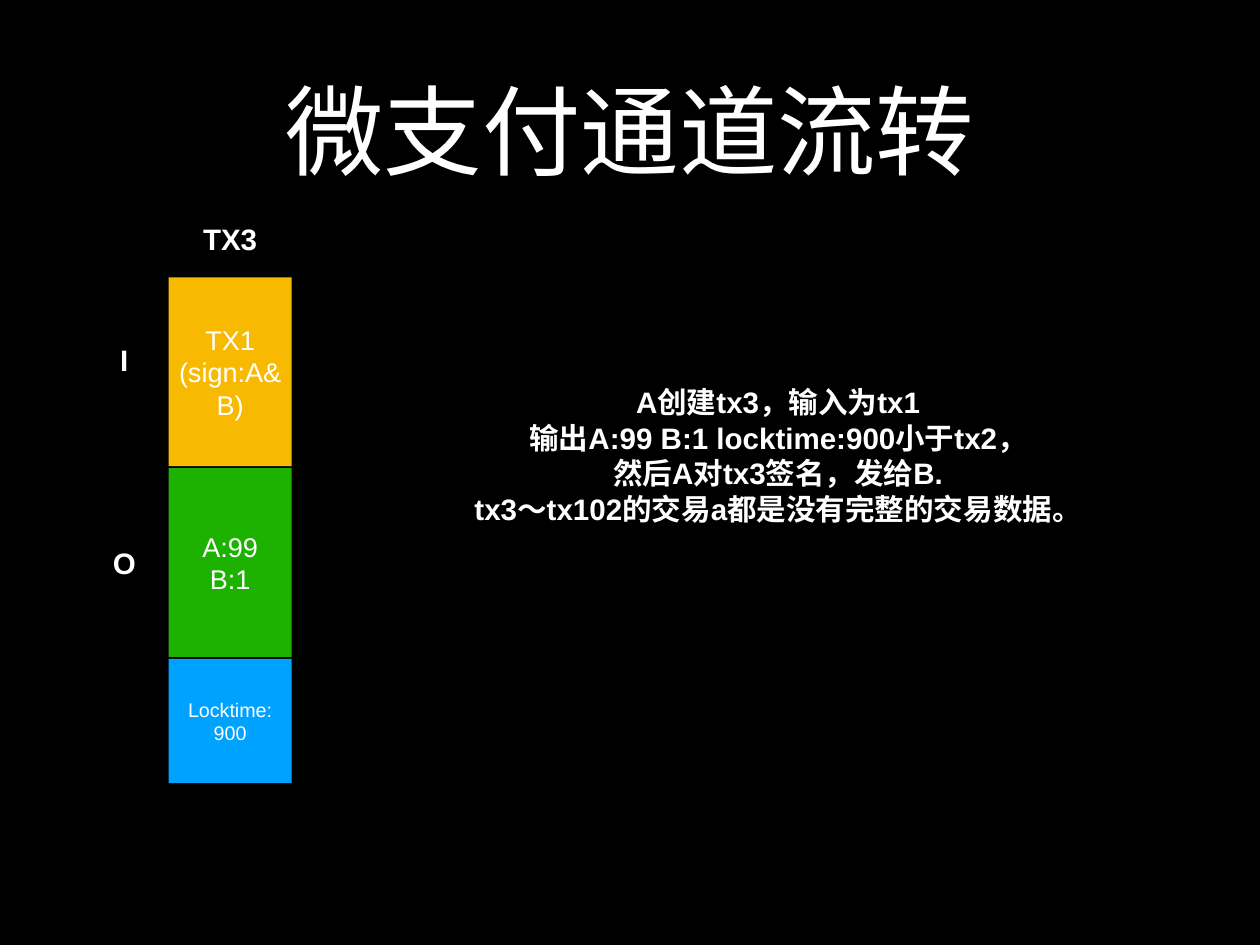
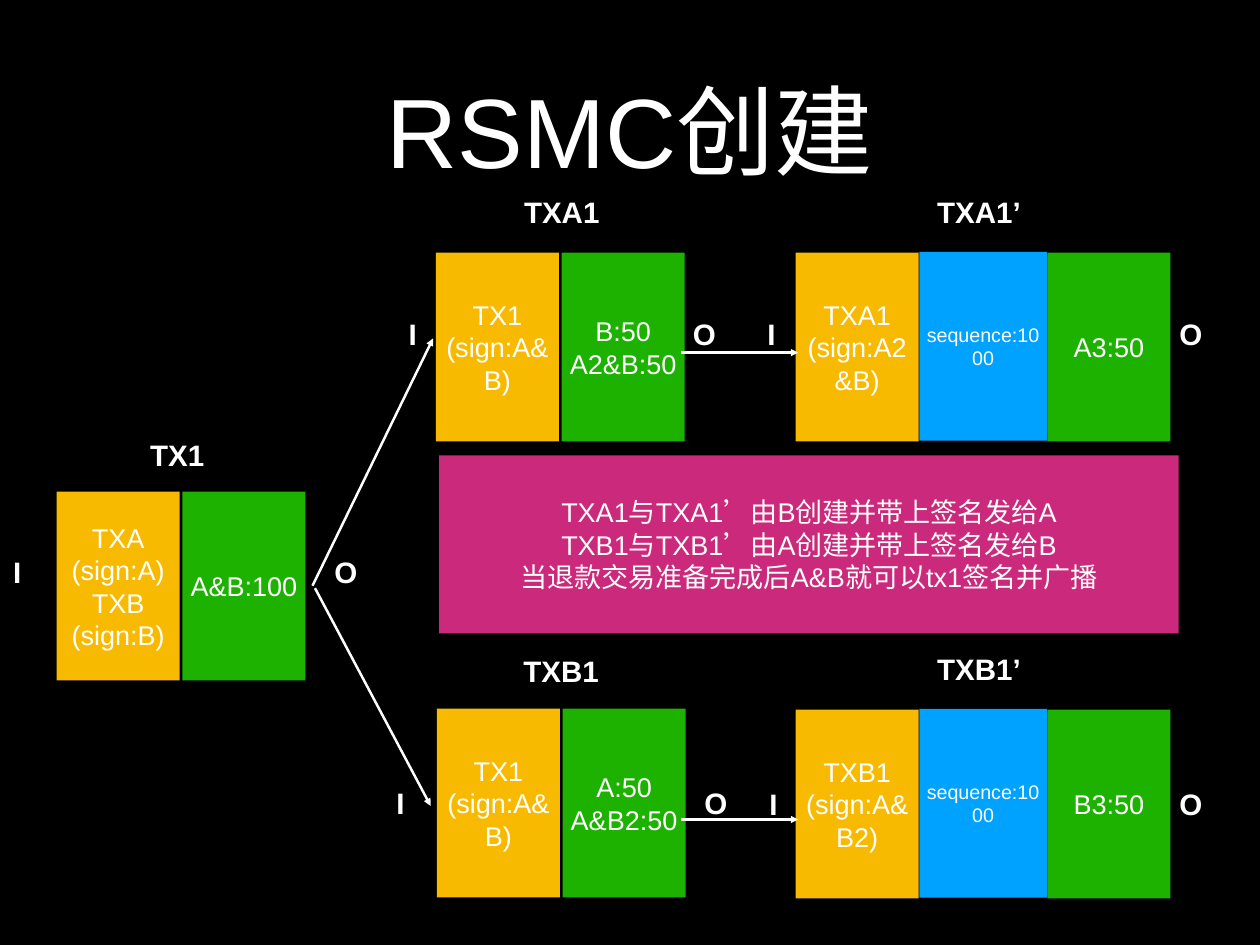
from dataclasses import dataclass

from lxml import etree
from pptx import Presentation
from pptx.dml.color import RGBColor
from pptx.enum import shapes, text
from pptx.oxml import ns
from pptx.util import Pt

COLORS = {
    "back": "000000",
    "text": "FFFFFF",
    "input": "F8BA00",
    "output": "1DB100",
    "lock": "00A2FF",
    "note": "CB297B",
}
FONT = "Arial"
INSET = Pt(4)
FRAME = {
    "margin_left": INSET,
    "margin_right": INSET,
    "margin_top": INSET,
    "margin_bottom": INSET,
    "vertical_anchor": text.MSO_ANCHOR.MIDDLE,
}
CELL_W, CELL_H = 100, 153.4
LABEL_H = 36
LABEL_WIDTHS = {1: 27, 3: 53, 4: 70, 5: 76}  # by number of letters


@dataclass
class Cell:
    role: str
    words: str
    left: float
    top: float
    width: float = CELL_W
    height: float = CELL_H
    size: float = 22


@dataclass
class Label:
    """A bold word, placed by its centre."""
    words: str
    x: float
    y: float


@dataclass
class Transaction:
    """A row of cells with its name above and I and O at its ends."""
    name: str
    left: float
    top: float
    name_at: tuple[float, float]
    in_x: float
    out_x: float
    ends_y: float
    source: str
    result: str
    sequence: str = ""

    def cells(self) -> list[Cell]:
        gap = 104.6 if self.sequence else 2.2
        row = [
            Cell("input", self.source, self.left, self.top),
            Cell("output", self.result, self.left + CELL_W + gap, self.top),
        ]
        if self.sequence:
            row.append(Cell("lock", self.sequence, self.left + CELL_W + 0.5,
                            self.top - 0.7, 103.7, size=16))
        return row

    def labels(self) -> list[Label]:
        return [
            Label(self.name, *self.name_at),
            Label("I", self.in_x, self.ends_y),
            Label("O", self.out_x, self.ends_y),
        ]


def rgb(name: str) -> RGBColor:
    return RGBColor.from_string(COLORS[name])


def write(sp, words: str, size: float, bold: bool = False, wrap: bool = True) -> None:
    """Fill a shape with centred paragraphs, one for each line of words."""
    tf = sp.text_frame
    for key, value in FRAME.items():
        setattr(tf, key, value)
    tf.word_wrap = wrap
    if not wrap:
        tf.auto_size = text.MSO_AUTO_SIZE.SHAPE_TO_FIT_TEXT
    for i, line in enumerate(words.split("\n")):
        p = tf.add_paragraph() if i else tf.paragraphs[0]
        p.alignment = text.PP_ALIGN.CENTER
        r = p.add_run()
        r.text = line
        for key, value in {"name": FONT, "size": Pt(size), "bold": bold}.items():
            setattr(r.font, key, value)
        r.font.color.rgb = rgb("text")


def add_text(s, words: str, box: tuple[float, float, float, float], size: float,
             bold: bool = False, wrap: bool = True) -> None:
    write(s.shapes.add_textbox(*map(Pt, box)), words, size, bold, wrap)


def add_cell(s, cell: Cell) -> None:
    box = (cell.left, cell.top, cell.width, cell.height)
    sp = s.shapes.add_shape(shapes.MSO_SHAPE.RECTANGLE, *map(Pt, box))
    sp.shadow.inherit = False
    sp.fill.solid()
    sp.fill.fore_color.rgb = rgb(cell.role)
    sp.line.fill.background()
    write(sp, cell.words, cell.size)


def add_label(s, label: Label) -> None:
    width = 16 if label.words == "I" else LABEL_WIDTHS[len(label.words)]
    box = (label.x - width / 2, label.y - LABEL_H / 2, width, LABEL_H)
    add_text(s, label.words, box, 24, bold=True, wrap=False)


def add_arrow(s, ends: tuple[float, float, float, float]) -> None:
    line = s.shapes.add_connector(shapes.MSO_CONNECTOR.STRAIGHT, *map(Pt, ends))
    line.line.width = Pt(2)
    line.line.color.rgb = rgb("text")
    etree.SubElement(line.line._get_or_add_ln(), ns.qn("a:tailEnd"), type="triangle")
    etree.SubElement(line._element.spPr, ns.qn("a:effectLst"))


def add_slide(prs, title: str):
    s = prs.slides.add_slide(prs.slide_layouts[6])
    s.background.fill.solid()
    s.background.fill.fore_color.rgb = rgb("back")
    add_text(s, title, (75, 20, 874, 170), 80)
    return s


def build_channel_flow(prs) -> None:
    s = add_slide(prs, "微支付通道流转")
    steps = "\n".join([
        "A创建tx3，输入为tx1",
        "输出A:99 B:1 locktime:900小于tx2，",
        "然后A对tx3签名，发给B.",
        "tx3～tx102的交易a都是没有完整的交易数据。",
    ])
    add_text(s, steps, (381, 299, 502.6, 142), 24, bold=True, wrap=False)
    left, top, pitch = 137, 225.4, 155
    for cell in (
        Cell("input", "TX1\n(sign:A&B)", left, top),
        Cell("output", "A:99\nB:1", left, top + pitch),
        Cell("lock", "Locktime:\n900", left, top + 2 * pitch, height=101, size=16),
    ):
        add_cell(s, cell)
    for label in (Label("TX3", 187, 194), Label("I", 101, 292), Label("O", 101, 457)):
        add_label(s, label)


def build_rsmc(prs) -> None:
    s = add_slide(prs, "RSMC创建")
    for tx in (
        Transaction("TX1", 46, 399.6, (144, 369.5), 14, 281, 465,
                    "TXA\n(sign:A)\nTXB\n(sign:B)", "A&B:100"),
        Transaction("TXA1", 354.2, 205.4, (456.5, 172), 335.5, 572.4, 271.5,
                    "TX1\n(sign:A&B)", "B:50\nA2&B:50"),
        Transaction("TXB1", 355, 576, (456, 545), 325.5, 581.8, 652.3,
                    "TX1\n(sign:A&B)", "A:50\nA&B2:50"),
        Transaction("TXA1’", 646.6, 205.4, (795.6, 172), 627, 967.7, 271.5,
                    "TXA1\n(sign:A2&B)", "A3:50", "sequence:1000"),
        Transaction("TXB1’", 646.6, 576.8, (795.6, 543.6), 628.6, 967.7, 653,
                    "TXB1\n(sign:A&B2)", "B3:50", "sequence:1000"),
    ):
        for cell in tx.cells():
            add_cell(s, cell)
        for label in tx.labels():
            add_label(s, label)
    for ends in (
        (254, 476, 352, 275),
        (256, 478, 350, 655),
        (553.7, 286.6, 648.7, 286.6),
        (553.7, 666, 648.7, 666),
    ):
        add_arrow(s, ends)
    note = "\n".join([
        "TXA1与TXA1’由B创建并带上签名发给A",
        "TXB1与TXB1’由A创建并带上签名发给B",
        "当退款交易准备完成后A&B就可以tx1签名并广播",
    ])
    add_cell(s, Cell("note", note, 357, 370, 601, 144.7))


def main() -> None:
    prs = Presentation()
    prs.slide_width, prs.slide_height = Pt(1024), Pt(768)
    build_channel_flow(prs)
    build_rsmc(prs)
    prs.save("out.pptx")


if __name__ == "__main__":
    main()
